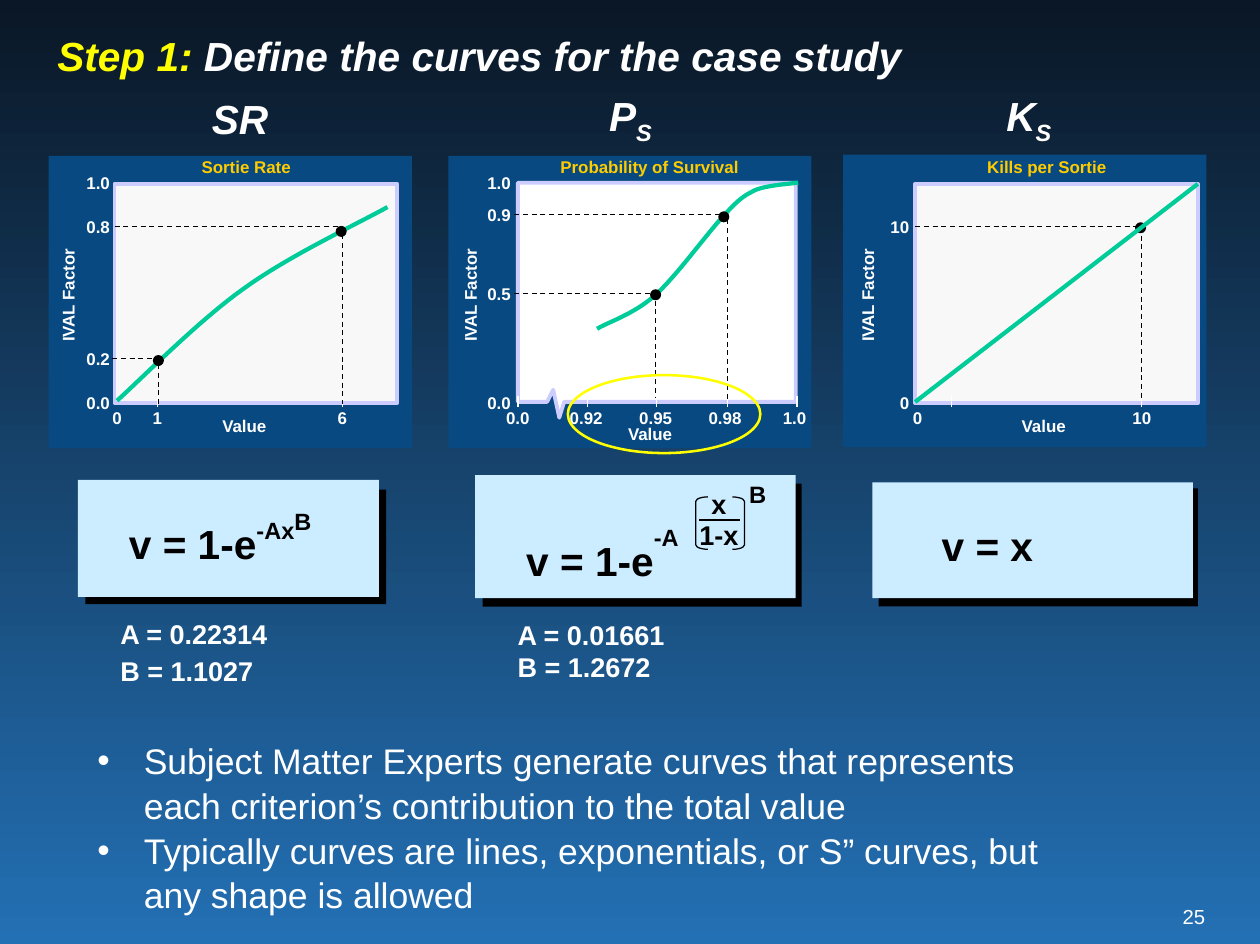
"""Build the slide that defines the value curves of the case study."""
from dataclasses import dataclass
from typing import NamedTuple

from lxml.etree import SubElement
from pptx import Presentation
from pptx.dml.color import RGBColor
from pptx.enum.dml import MSO_LINE
from pptx.enum.shapes import MSO_CONNECTOR, MSO_SHAPE
from pptx.enum.text import MSO_ANCHOR, MSO_AUTO_SIZE, PP_ALIGN
from pptx.oxml.ns import qn
from pptx.util import Inches, Pt

NIGHT = RGBColor(0x0A, 0x17, 0x26)
SKY = RGBColor(0x23, 0x70, 0xB4)
PANEL = RGBColor(0x07, 0x49, 0x80)
PAPER = RGBColor(0xF8, 0xF8, 0xF8)
LILAC = RGBColor(0xCC, 0xCC, 0xFF)
ICE = RGBColor(0xCC, 0xEC, 0xFF)
GREEN = RGBColor(0x00, 0xCC, 0x99)
GOLD = RGBColor(0xFF, 0xCC, 0x00)
YELLOW = RGBColor(0xFF, 0xFF, 0x00)
WHITE = RGBColor(0xFF, 0xFF, 0xFF)
BLACK = RGBColor(0, 0, 0)

AXIS_TOP, AXIS_WIDTH, AXIS_HEIGHT = 1.51, 2.32, 1.8
LABEL_HEIGHT = 0.27


class Run(NamedTuple):
    """A piece of text with its own baseline shift or colour."""
    text: str
    base: int = 0
    color: RGBColor | None = None


@dataclass
class Plot:
    """One value curve with its panel, axes, labels and guides."""
    title: str
    panel: tuple
    axis_left: float
    title_x: float
    value: tuple
    factor_x: float
    label_right: float
    x_labels: tuple
    y_labels: tuple
    marks: tuple
    guides: tuple
    dots: tuple
    curve: tuple = ()
    line: tuple = ()
    outline: tuple = ()


@dataclass
class Equation:
    """A formula on a card with a solid shadow."""
    shadow: tuple
    card: tuple
    box: tuple
    runs: tuple


PLOTS = (
    Plot("Sortie Rate", (0.4, 1.28), 0.94, 2.02, (2, 3.36), 0.56, 1,
         (("0", 0.96), ("1", 1.29), ("6", 2.81)),
         (("0.0", 3.3), ("0.2", 2.94), ("0.8", 1.86), ("1.0", 1.5)),
         (1.29, 2.81), ((0.94, 1.86, 2.81, 3.32), (0.92, 2.94, 1.3, 3.32)),
         ((2.8, 1.9), (1.3, 2.96)),
         curve=((0.96, 3.29), (1.13, 3.14), (1.63, 2.63), (2, 2.37),
                (2.37, 2.1), (2.93, 1.84), (3.18, 1.7))),
    Plot("Probability of Survival", (3.68, 1.28), 4.25, 5.33, (5.33, 3.43), 3.86, 4.29,
         (("0.0", 4.25), ("0.92", 4.81), ("0.95", 5.38), ("0.98", 5.95), ("1.0", 6.52)),
         (("0.0", 3.3), ("0.5", 2.41), ("0.9", 1.76), ("1.0", 1.5)),
         (4.25, 4.82, 5.39, 5.97, 6.54),
         ((4.22, 1.76, 5.97, 3.3), (4.22, 2.41, 5.38, 3.27)),
         ((5.94, 1.78), (5.38, 2.42)),
         curve=((4.9, 2.7), (4.98, 2.65), (5.2, 2.58), (5.37, 2.43), (5.55, 2.27),
                (5.8, 1.92), (5.94, 1.77), (6.07, 1.63), (6.1, 1.61), (6.2, 1.56),
                (6.3, 1.52), (6.48, 1.51), (6.55, 1.5)),
         outline=((4.49, 3.3), (4.25, 3.3), (4.25, 1.5), (6.53, 1.5), (6.53, 3.3),
                  (4.63, 3.3), (4.59, 3.43), (4.54, 3.2))),
    Plot("Kills per Sortie", (6.92, 1.27), 7.51, 8.59, (8.56, 3.36), 7.12, 7.56,
         (("0", 7.53), ("10", 9.37)), (("0", 3.3), ("10", 1.86)),
         (7.81, 9.37), ((7.51, 1.86, 9.37, 3.29),), ((9.36, 1.87),),
         line=(7.51, 3.3, 9.83, 1.51)),
)
EQUATIONS = (
    Equation((0.7, 4.02, 2.47, 0.94), (0.64, 3.94, 2.47, 0.96), (0.96, 4.26, 1.8, 0.45),
             (Run("v = 1-e"), Run("-Ax", 50), Run("B", 72))),
    Equation((3.96, 3.97, 2.62, 1.01), (3.9, 3.9, 2.63, 1.01), (4.22, 4.35, 1.52, 0.5),
             (Run("v = 1-e"), Run("-A", 74))),
    Equation((7.21, 4.01, 2.62, 0.97), (7.16, 3.96, 2.63, 0.95), (7.63, 4.23, 1.8, 0.5),
             (Run("v = x"),)),
)
HEADINGS = (((Run("SR"),), 0.72), ((Run("P"), Run("S", -25)), 0.7), ((Run("K"), Run("S", -25)), 0.7))
BULLETS = (
    "Subject Matter Experts generate curves that represents each criterion’s contribution to the total value",
    "Typically curves are lines, exponentials, or S” curves, but any shape is allowed",
)


def place(sp, box: tuple) -> None:
    """Move and size a shape in inches."""
    sp.left, sp.top, sp.width, sp.height = map(Inches, box)


def write(tf, *paras, size=10, color=WHITE, bold=True, italic=False, align=PP_ALIGN.LEFT,
          spacing=None, before=0, wrap=False, anchor=MSO_ANCHOR.TOP, inset=None) -> None:
    """Fill a text frame with paragraphs given as strings or runs."""
    tf.word_wrap, tf.vertical_anchor, tf.auto_size = wrap, anchor, MSO_AUTO_SIZE.NONE
    if inset is not None:
        tf.margin_left = tf.margin_right = tf.margin_top = tf.margin_bottom = Inches(inset)
    for i, runs in enumerate(paras):
        p = tf.add_paragraph() if i else tf.paragraphs[0]
        p.alignment, p.line_spacing = align, spacing
        p.space_before = Pt(before if i else 0)
        for run in (Run(runs),) if isinstance(runs, str) else runs:
            r = p.add_run()
            r.text = run.text
            r.font.name, r.font.size, r.font.bold, r.font.italic = "Arial", Pt(size), bold, italic
            r.font.color.rgb = run.color or color
            if run.base:
                r._r.get_or_add_rPr().set("baseline", str(run.base * 1000))


def add_text(s, box: tuple, *paras, **fmt):
    """Add a text box."""
    sp = s.shapes.add_textbox(*map(Inches, box))
    write(sp.text_frame, *paras, **fmt)
    return sp


def paint(sp, fill=None, line=None, width=0.75, dash=None) -> None:
    """Set fill and outline of a shape and drop its shadow."""
    sp.shadow.inherit = False
    for part, color in ((sp.fill, fill), (sp.line.fill, line)):
        if color is None:
            part.background()
        else:
            part.solid()
            part.fore_color.rgb = color
    if line is not None:
        sp.line.width, sp.line.dash_style = Pt(width), dash


def add_preset(s, kind, box: tuple, **style):
    """Add a painted preset shape."""
    sp = s.shapes.add_shape(kind, *map(Inches, box))
    paint(sp, **style)
    return sp


def add_outline(s, points, close=False, **style) -> None:
    """Add a painted freeform through points."""
    first, *rest = [(Inches(x), Inches(y)) for x, y in points]
    builder = s.shapes.build_freeform(*first)
    builder.add_line_segments(rest, close=close)
    paint(builder.convert_to_shape(), **style)


def add_line(s, ends: tuple, color: RGBColor, width=0.75) -> None:
    """Add a straight line."""
    c = s.shapes.add_connector(MSO_CONNECTOR.STRAIGHT, *map(Inches, ends))
    c.line.color.rgb, c.line.width = color, Pt(width)
    SubElement(c._element.spPr, qn("a:effectLst"))


def bezier(knots: tuple, steps=16) -> list:
    """Sample a chain of cubic curves."""
    points = [knots[0]]
    for i in range(0, len(knots) - 1, 3):
        for t in (n / steps for n in range(1, steps + 1)):
            weights = ((1 - t) ** 3, 3 * t * (1 - t) ** 2, 3 * t * t * (1 - t), t ** 3)
            points.append(tuple(sum(w * k[axis] for w, k in zip(weights, knots[i:i + 4]))
                                for axis in (0, 1)))
    return points


def label_width(label: str) -> float:
    """Give the box width of a tick label."""
    return 0.2 + sum(0.04 if char == "." else 0.08 for char in label)


def draw_plot(s, plot: Plot) -> None:
    """Draw one panel with its curve."""
    add_preset(s, MSO_SHAPE.RECTANGLE, (*plot.panel, 2.98, 2.4), fill=PANEL)
    if plot.outline:
        add_outline(s, plot.outline, close=True, fill=WHITE, line=LILAC, width=2.25)
    else:
        add_preset(s, MSO_SHAPE.RECTANGLE, (plot.axis_left, AXIS_TOP, AXIS_WIDTH, AXIS_HEIGHT),
                   fill=PAPER, line=LILAC, width=2.25)
    center = PP_ALIGN.CENTER
    add_text(s, (plot.factor_x - 0.5, 2.29, 1, LABEL_HEIGHT), "IVAL Factor", align=center).rotation = 270
    add_text(s, (plot.title_x - 0.83, 1.24, 1.66, LABEL_HEIGHT), plot.title, color=GOLD, align=center)
    add_text(s, (plot.value[0] - 0.28, plot.value[1], 0.57, LABEL_HEIGHT), "Value", align=center)
    for x in plot.marks:
        add_line(s, (x, 3.34, x, 3.25), WHITE)
    for label, x in plot.x_labels:
        w = label_width(label)
        add_text(s, (x - w / 2, 3.3, w, LABEL_HEIGHT), label, align=center)
    for label, y in plot.y_labels:
        w = label_width(label)
        add_text(s, (plot.label_right - w, y - 0.13, w, LABEL_HEIGHT), label, align=PP_ALIGN.RIGHT)
    for left, y, x, bottom in plot.guides:
        add_outline(s, ((left, y), (x, y), (x, bottom)), line=BLACK, dash=MSO_LINE.DASH)
    if plot.curve:
        add_outline(s, bezier(plot.curve), line=GREEN, width=2.5)
    for x, y in plot.dots:
        add_preset(s, MSO_SHAPE.OVAL, (x - 0.04, y - 0.04, 0.08, 0.08), fill=BLACK, line=BLACK)
    if plot.line:
        add_line(s, plot.line, GREEN, 2.5)


def draw_fraction(s) -> None:
    """Draw the bracketed fraction and its exponent."""
    add_text(s, (5.64, 3.97, 0.52, 0.6), "x", "1-x", size=16, color=BLACK,
             spacing=Pt(18), align=PP_ALIGN.CENTER)
    add_line(s, (5.74, 4.27, 6.07, 4.27), BLACK)
    for x, turn in ((5.71, 0), (6.01, 180)):
        sp = add_preset(s, MSO_SHAPE.LEFT_BRACKET, (x, 4.08, 0.1, 0.43), line=BLACK)
        sp.adjustments[0], sp.rotation = 0.37, turn
    add_text(s, (6.05, 3.89, 0.34, 0.33), "B", size=14, color=BLACK)


def main() -> None:
    """Build and save the slide."""
    prs = Presentation()
    prs.slide_width, prs.slide_height = Inches(10.34), Inches(7.75)
    s = prs.slides.add_slide(prs.slide_layouts[1])
    fill = s.background.fill
    fill.gradient()
    fill.gradient_angle = 270
    for stop, color in zip(fill.gradient_stops, (NIGHT, SKY)):
        stop.color.rgb = color
    title, body = s.placeholders
    place(title, (0.37, -0.07, 8.47, 1.08))
    write(title.text_frame, (Run("Step 1:", color=YELLOW), Run(" Define the curves for the case study")),
          size=24, italic=True, spacing=Pt(26), wrap=True, anchor=MSO_ANCHOR.MIDDLE)
    place(body, (0.7, 6, 8.38, 1.51))
    write(body.text_frame, *BULLETS, size=21, bold=False, spacing=1.05, wrap=True)
    for p in body.text_frame.paragraphs:
        pPr = p._p.get_or_add_pPr()
        pPr.set("marL", str(Inches(0.38)))
        pPr.set("indent", str(-Inches(0.38)))
        SubElement(pPr, qn("a:buChar")).set("char", "•")
    for plot in PLOTS:
        draw_plot(s, plot)
    for eq in EQUATIONS:
        add_preset(s, MSO_SHAPE.RECTANGLE, eq.shadow, fill=BLACK)
        add_preset(s, MSO_SHAPE.RECTANGLE, eq.card, fill=ICE)
        add_text(s, eq.box, eq.runs, size=24, color=BLACK, wrap=True, anchor=MSO_ANCHOR.BOTTOM)
    draw_fraction(s)
    add_text(s, (0.89, 5.04, 1.74, 0.66), "A = 0.22314", "B = 1.1027", size=16, spacing=Pt(18), before=3.5)
    add_text(s, (4.15, 5.07, 1.59, 0.6), "A = 0.01661", "B = 1.2672", size=16, spacing=Pt(16), before=3)
    add_preset(s, MSO_SHAPE.OVAL, (4.66, 3.08, 1.58, 0.64), line=YELLOW, width=1.5)
    for i, (runs, y) in enumerate(HEADINGS):
        add_text(s, (1.64 + 3.26 * i, y, 0.86, 0.5), runs, size=24, italic=True, wrap=True)
    add_text(s, (9.69, 7.42, 0.2, 0.2), "25", size=12, bold=False, align=PP_ALIGN.RIGHT, inset=0)
    prs.save("out.pptx")


if __name__ == "__main__":
    main()
